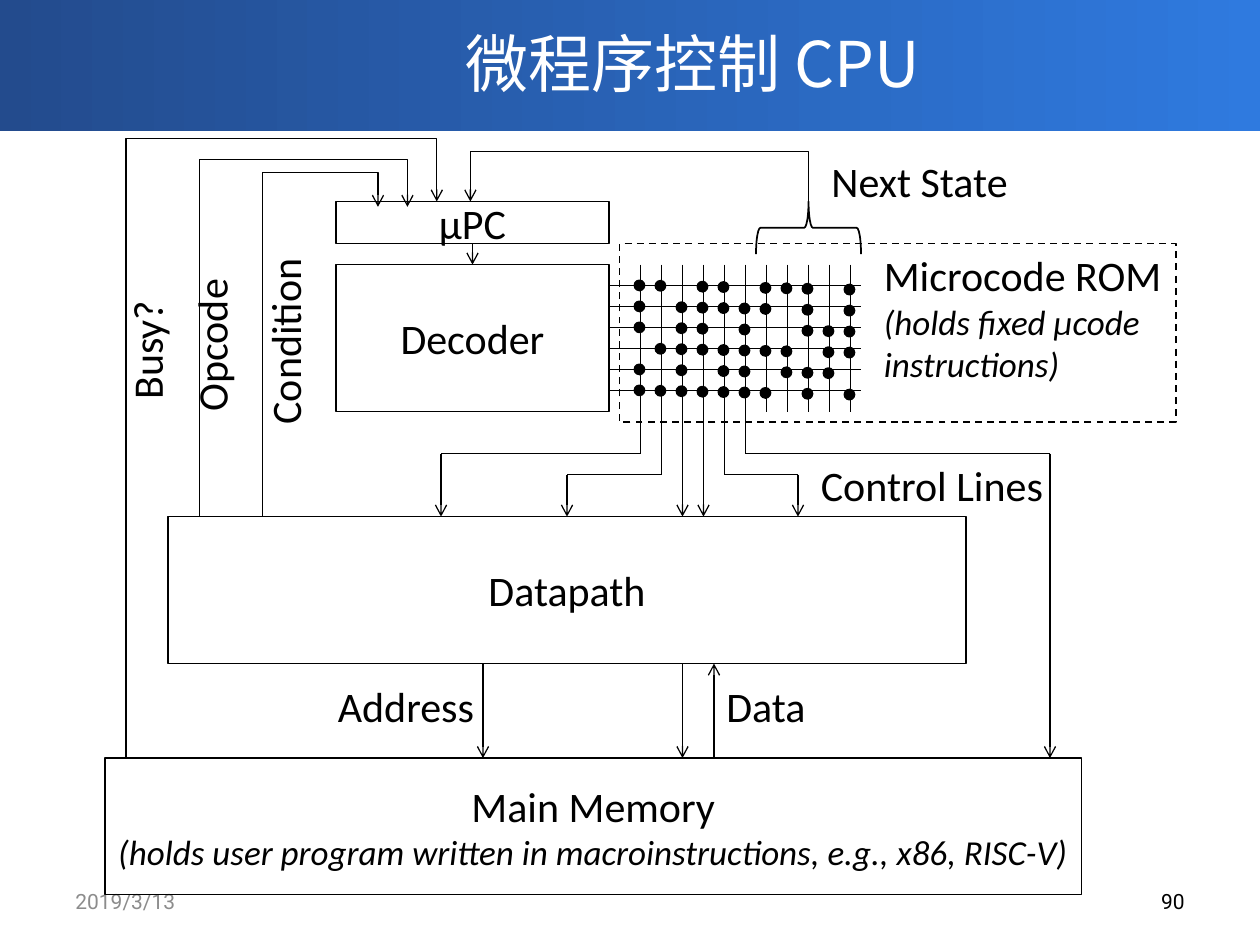
from dataclasses import dataclass
from typing import Optional

from lxml.etree import SubElement
from pptx import Presentation
from pptx.dml.color import RGBColor
from pptx.enum.dml import MSO_LINE_DASH_STYLE as Dash
from pptx.enum.shapes import MSO_CONNECTOR as Conn, MSO_SHAPE as Shape
from pptx.enum.text import MSO_ANCHOR as Anchor, PP_ALIGN as Align
from pptx.oxml.ns import qn
from pptx.util import Emu, Inches, Pt

BLACK = "000000"
WHITE = "FFFFFF"
GREY = "8C8C8C"
BODY = "Calibri"
HEAD = "Noto Sans CJK SC"
FOOT = "Roboto"

prs = Presentation()
prs.slide_width, prs.slide_height = Inches(10), Inches(7.5)
s = prs.slides.add_slide(prs.slide_layouts[6])
UNIT = prs.slide_width / 60
TOP = 0.6


@dataclass
class Box:
    col: float
    row: float
    cols: float
    rows: float
    text: str = ""
    note: str = ""
    rotation: float = 0
    wrap: bool = False
    size: float = 24
    font: str = BODY
    color: str = BLACK
    align: Optional[Align] = None
    anchor: Anchor = Anchor.TOP

    def frame(self) -> tuple:
        return x(self.col), y(self.row), x(self.cols), x(self.rows)


@dataclass
class Line:
    col: float
    row: float
    end_col: float
    end_row: float
    arrow: bool = False


def x(col: float) -> Emu:
    return Emu(round(col * UNIT))


def y(row: float) -> Emu:
    return x(row + TOP)


def rgb(value: str) -> RGBColor:
    return RGBColor.from_string(value)


def style_line(line, width: float, arrow: bool = False) -> None:
    line.color.rgb = rgb(BLACK)
    line.width = Pt(width)
    if arrow:
        SubElement(line._get_or_add_ln(), qn("a:tailEnd"), type="arrow")


def write(sp, box: Box) -> None:
    tf = sp.text_frame
    tf.text = f"{box.text}\n{box.note}" if box.note else box.text
    tf.word_wrap = box.wrap
    tf.vertical_anchor = box.anchor
    for i, p in enumerate(tf.paragraphs):
        p.alignment = box.align
        for r in p.runs:
            r.font.size = Pt(20 if i else box.size)
            r.font.italic = i > 0
            r.font.name = box.font
            r.font.color.rgb = rgb(box.color)
            SubElement(r.font._element, qn("a:ea"), typeface=box.font)


def draw_label(box: Box) -> None:
    sp = s.shapes.add_textbox(*box.frame())
    sp.rotation = box.rotation
    write(sp, box)


def draw_shape(box: Box, kind: Shape = Shape.RECTANGLE, fill: str = ""):
    sp = s.shapes.add_shape(kind, *box.frame())
    sp.shadow.inherit = False
    sp.rotation = box.rotation
    if fill:
        sp.fill.solid()
        sp.fill.fore_color.rgb = rgb(fill)
    else:
        sp.fill.background()
    style_line(sp.line, 1)
    return sp


def draw_block(box: Box):
    sp = draw_shape(box)
    box.align, box.anchor, box.wrap = Align.CENTER, Anchor.MIDDLE, True
    write(sp, box)
    sp.text_frame.margin_left = sp.text_frame.margin_right = Inches(0.05)
    return sp


def draw_line(line: Line):
    c = s.shapes.add_connector(Conn.STRAIGHT, x(line.col), y(line.row),
                               x(line.end_col), y(line.end_row))
    SubElement(c._element.spPr, qn("a:effectLst"))
    style_line(c.line, 0.75, line.arrow)
    effects = c._element.spPr.find(qn("a:effectLst"))
    c._element.spPr.append(effects)
    return c


def draw_route(points: list[tuple[float, float]]) -> None:
    start, *rest = [(x(col), y(row)) for col, row in points]
    builder = s.shapes.build_freeform(*start)
    builder.add_line_segments(rest, close=False)
    sp = builder.convert_to_shape()
    sp.shadow.inherit = False
    sp.fill.background()
    style_line(sp.line, 0.75, arrow=True)


header = draw_shape(Box(0, -0.78, 60, 6.42))
header.line.fill.background()
header.fill.gradient()
header.fill.gradient_angle = 0
for stop, color, position in zip(header.fill.gradient_stops, ("234B8D", "2F7ADF"), (0, 1)):
    stop.color.rgb = rgb(color)
    stop.position = position

for label in (
    Box(6, -TOP, 54, 5.94, "微程序控制 CPU", wrap=True, size=36, font=HEAD,
        color=WHITE, align=Align.CENTER, anchor=Anchor.MIDDLE),
    Box(3, 41.1, 14, 2.4, "2019/3/13", wrap=True, size=12, font=FOOT,
        color=GREY, anchor=Anchor.MIDDLE),
    Box(43, 41.1, 14, 2.4, "90", wrap=True, size=12, font=FOOT,
        align=Align.RIGHT, anchor=Anchor.MIDDLE),
    Box(15.5, 31.5, 7.8, 3, "Address"),
    Box(34, 31.5, 5, 3, "Data"),
    Box(41.5, 11, 14.5, 7, "Microcode ROM", "(holds fixed µcode instructions)", wrap=True),
    Box(39, 6.5, 9.8, 3, "Next State"),
    Box(38.5, 21, 12, 3, "Control Lines"),
    Box(6.24, 14.28, 7.6, 3, "Opcode", rotation=270),
    Box(8.94, 14.1, 9.2, 3, "Condition", rotation=270),
    Box(3.96, 14.52, 6, 3, "Busy?", rotation=270),
):
    draw_label(label)

datapath = draw_block(Box(8, 24, 38, 7, "Datapath"))
draw_block(Box(5, 35.5, 46.5, 6.5, "Main Memory",
               "(holds user program written in macroinstructions, e.g., x86, RISC-V)"))
decoder = draw_block(Box(16, 12, 13, 7, "Decoder"))
micro_pc = draw_block(Box(16, 9, 13, 2, "µPC"))

rom = draw_shape(Box(29.5, 11, 26.5, 8.5))
rom.line.dash_style = Dash.DASH
draw_shape(Box(37.25, 7.75, 2.5, 5, rotation=90), Shape.LEFT_BRACE)

ROM_COL, ROM_ROW, DOT = 30.5, 13, 0.48
MICROCODE = (
    "##.##.###.#",
    "#.#####.#.#",
    "#.##.#..###",
    ".#######.##",
    "#.#.##.###.",
    "#######.#.#",
)
COLUMN_ENDS = (21, 22, 24, 24, 22, 21, 19, 19, 19, 19, 19)

for i, bits in enumerate(MICROCODE):
    draw_line(Line(29, ROM_ROW + i, 41, ROM_ROW + i))
    for j, bit in enumerate(bits):
        if bit == "#":
            dot = Box(ROM_COL + j - 0.29, ROM_ROW + i - 0.25 + 0.02 * j, DOT, DOT)
            draw_shape(dot, Shape.OVAL, BLACK)

for j, end in enumerate(COLUMN_ENDS):
    draw_line(Line(ROM_COL + j, 12, ROM_COL + j, end, arrow=end == 24))

for start, col, row, end in ((30.5, 21, 21, 24), (34.5, 38, 22, 24), (35.5, 50, 21, 35.5)):
    draw_line(Line(start, row, col, row))
    draw_line(Line(col, row, col, end, arrow=True))
draw_line(Line(31.5, 22, 27, 22))
draw_line(Line(27, 22, 27, 24, arrow=True)).end_connect(datapath, 0)

step = draw_line(Line(22.5, 11, 22.5, 12, arrow=True))
step.begin_connect(micro_pc, 2)
step.end_connect(decoder, 0)

for col, start, end in ((23, 31, 35.5), (32.5, 31, 35.5), (34, 35.5, 31)):
    draw_line(Line(col, start, col, end, arrow=True))

for route in (
    [(38.5, 9), (38.5, 6.6), (22.4, 6.6), (22.4, 9)],
    [(9.5, 24), (9.5, 7), (19.4, 7), (19.4, 9.25)],
    [(12.5, 24), (12.5, 7.6), (18, 7.6), (18, 9.25)],
    [(6, 35.5), (6, 6), (20.8, 6), (20.8, 9)],
):
    draw_route(route)

prs.save("out.pptx")
